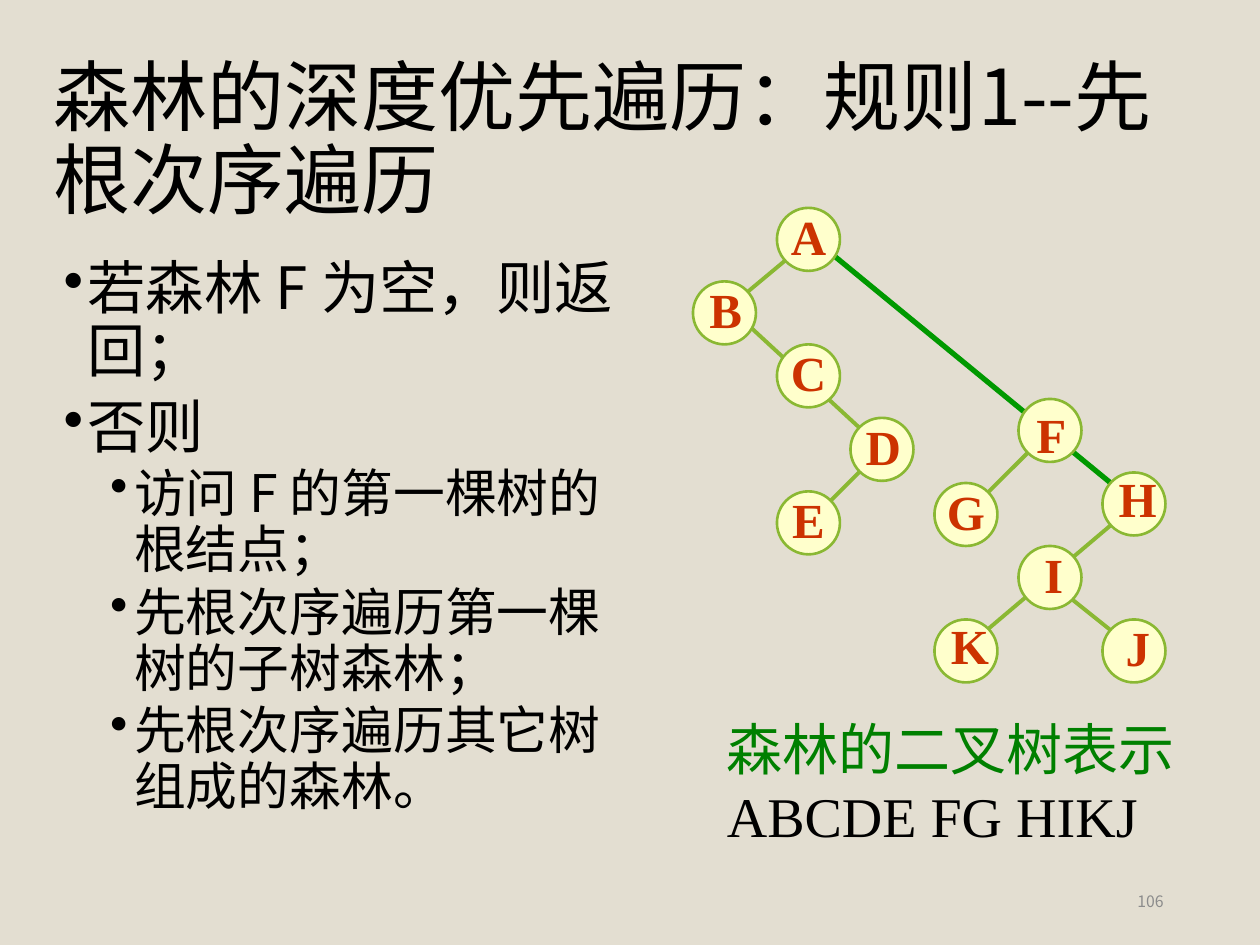
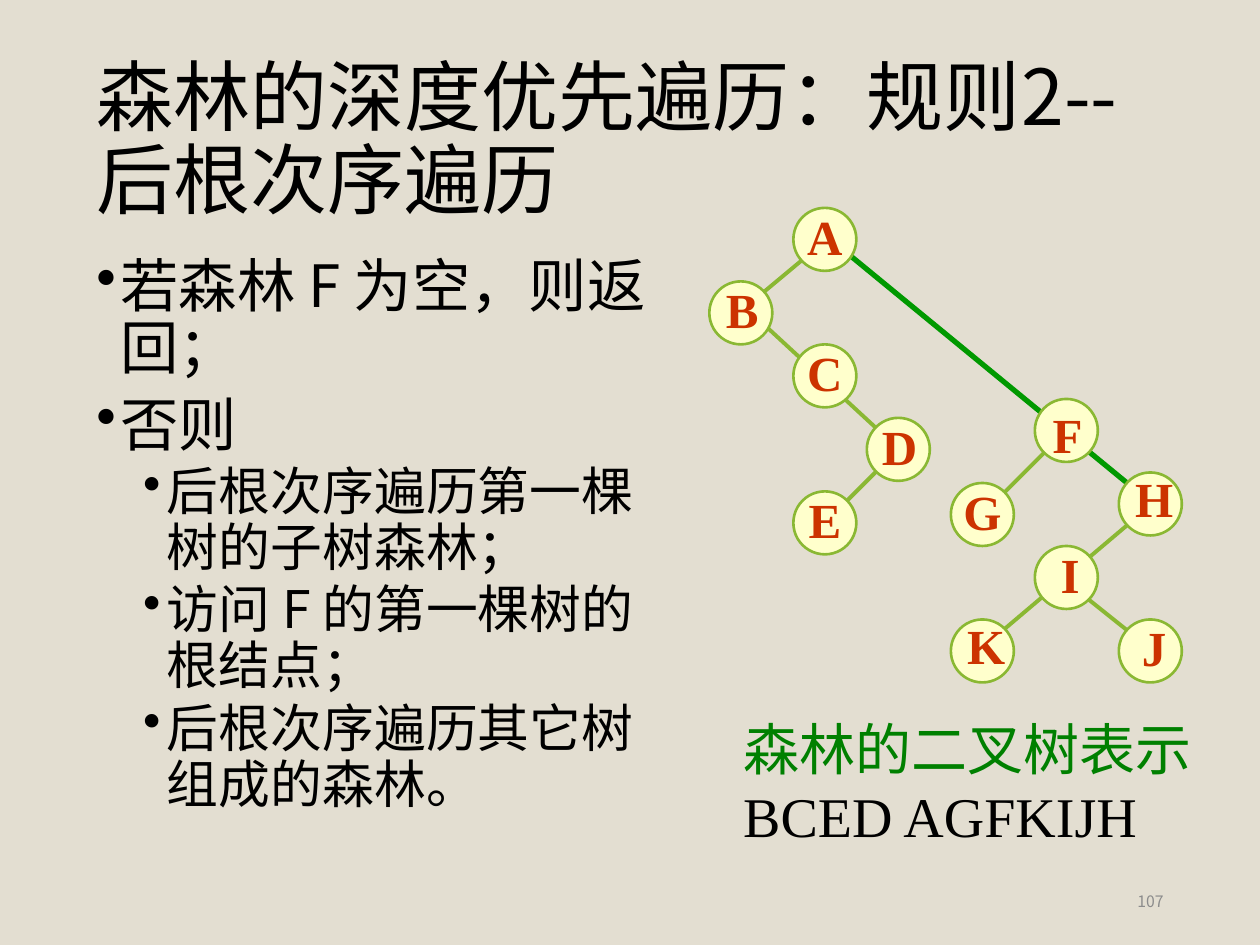
from pptx import Presentation
from pptx.dml.color import RGBColor
from pptx.enum.shapes import MSO_CONNECTOR, MSO_SHAPE
from pptx.enum.text import MSO_ANCHOR, PP_ALIGN
from pptx.oxml.ns import qn
from pptx.util import Inches, Pt
from lxml import etree

LINE = MSO_CONNECTOR.STRAIGHT
OVAL = MSO_SHAPE.OVAL
MID, TOP = MSO_ANCHOR.MIDDLE, MSO_ANCHOR.TOP
LEFT, MIDX, RIGHT = PP_ALIGN.LEFT, PP_ALIGN.CENTER, PP_ALIGN.RIGHT

SANS, SERIF = "Noto Sans CJK SC", "Times New Roman"
PAPER, INK, GRAY = "E3DED1", "000000", "8C8C8C"
LIME, GREEN, LEAF = "8AB833", "009900", "008000"
CREAM, RED = "FFFFCC", "CC3300"

UNIT = 1 / 12
TREE_TOP = 1.65
NODE = 0.5
THIN, THICK = 2.25, 3

# label: column, row, letter shift right, letter shift down
NODES = {
    "A": (8, 0, 0, -0.03), "B": (0, 7, 0.01, -0.03),
    "C": (8, 13, 0, -0.03), "D": (15, 20, 0.01, -0.03),
    "E": (8, 27, 0, -0.03), "F": (31, 18.2, 0.01, 0.03),
    "G": (23, 26.2, 0, -0.03), "H": (39, 25.2, 0.03, -0.05),
    "I": (31, 32.2, 0.03, -0.03), "K": (23, 39.2, 0.03, -0.05),
    "J": (39, 39.2, 0.03, -0.03),
}
EDGES = [
    (13, 4.2, 41, 27.2, GREEN, THICK),
    (17, 24, 12, 29, LIME, THIN),
    (4, 10, 17, 22, LIME, THIN),
    (10, 4, 4, 9, LIME, THIN),
    (36, 37.2, 41, 41.2, LIME, THIN),
    (41, 29.2, 28, 40.2, LIME, THIN),
    (33, 22.2, 27, 28.2, LIME, THIN),
]

EMPTY = "若森林 F 为空，则返回；"
ELSE = "否则"
VISIT = "访问 F 的第一棵树的根结点；"
PAGES = [
    dict(title="森林的深度优先遍历：规则1--先根次序遍历",
         head=(0.35, 9.37), body=(0.43, 2.02, 4.73), tree=5.5,
         steps=[VISIT, "先根次序遍历第一棵树的子树森林；",
                "先根次序遍历其它树组成的森林。"],
         order="ABCDE FG HIKJ", page="106"),
    dict(title="森林的深度优先遍历：规则2--后根次序遍历",
         head=(0.69, 8.62), body=(0.69, 2, 4.81), tree=5.63,
         steps=["后根次序遍历第一棵树的子树森林；", VISIT,
                "后根次序遍历其它树组成的森林。"],
         order="BCED AGFKIJH", page="107"),
]


def color(code):
    return RGBColor.from_string(code)


def add_box(slide, x, y, w, h, anchor=TOP, pad=0.075, wrap=True):
    shape = slide.shapes.add_textbox(*map(Inches, (x, y, w, h)))
    frame = shape.text_frame
    frame.word_wrap = wrap
    frame.vertical_anchor = anchor
    frame.margin_left = frame.margin_right = Inches(pad)
    frame.margin_top = frame.margin_bottom = Inches(pad / 2)
    return frame


def add_para(frame, text, size, hue=INK, face=SANS, align=LEFT,
             bold=False, lead=None, gap=0, indent=None):
    first = not frame.paragraphs[0].runs
    para = frame.paragraphs[0] if first else frame.add_paragraph()
    para.add_run().text = text
    para.alignment = align
    props = para._p.get_or_add_pPr()
    if indent:
        props.set("marL", str(Inches(indent)))
        props.set("indent", str(Inches(-0.19)))
        etree.SubElement(props, qn("a:buChar")).set("char", "•")
    if lead:
        para.line_spacing = lead
    para.space_before = Pt(0 if first else gap)
    font = para.font
    font.size, font.name, font.bold = Pt(size), face, bold
    font.color.rgb = color(hue)
    east = etree.SubElement(props.find(qn("a:defRPr")), qn("a:ea"))
    east.set("typeface", SANS)


def add_edge(slide, left, x1, y1, x2, y2, hue, width):
    ends = [Inches(base + n * UNIT) for base, n in
            ((left, x1), (TREE_TOP, y1), (left, x2), (TREE_TOP, y2))]
    edge = slide.shapes.add_connector(LINE, *ends)
    edge.line.color.rgb = color(hue)
    edge.line.width = Pt(width)
    etree.SubElement(edge._element.spPr, qn("a:effectLst"))


def add_node(slide, left, label, col, row, right, down):
    x, y = left + col * UNIT, TREE_TOP + row * UNIT
    disc = slide.shapes.add_shape(OVAL, *map(Inches, (x, y, NODE, NODE)))
    disc.shadow.inherit = False
    disc.fill.solid()
    disc.fill.fore_color.rgb = color(CREAM)
    disc.line.color.rgb = color(LIME)
    disc.line.width = Pt(1.5)
    tall = 0.57
    frame = add_box(slide, x + right, y + (NODE - tall) / 2 + down,
                    NODE, tall, MID, 0.1, False)
    add_para(frame, label, 28, RED, SERIF, MIDX, True)


def add_tree(slide, left, order):
    frame = add_box(slide, left + 0.17, 5.62, 3.79, 1.17, pad=0.1)
    add_para(frame, "森林的二叉树表示", 32, LEAF, SERIF)
    add_para(frame, order, 32, INK, SERIF)
    for edge in EDGES:
        add_edge(slide, left, *edge)
    for label, place in NODES.items():
        add_node(slide, left, label, *place)


def add_rules(slide, x, y, w, steps):
    frame = add_box(slide, x, y, w, 4.76)
    for text in (EMPTY, ELSE):
        add_para(frame, text, 33.3, lead=0.9, gap=7.5, indent=0.19)
    for text in steps:
        add_para(frame, text, 29.6, lead=0.9, gap=3.8, indent=0.56)


def add_page(deck, title, head, body, tree, steps, order, page):
    slide = deck.slides.add_slide(deck.slide_layouts[6])
    slide.background.fill.solid()
    slide.background.fill.fore_color.rgb = color(PAPER)
    add_tree(slide, tree, order)
    x, w = head
    add_para(add_box(slide, x, 0.4, w, 1.45, MID), title, 44, lead=0.9)
    add_rules(slide, *body, steps)
    add_para(add_box(slide, 7.06, 6.95, 2.25, 0.4, MID),
             page, 9, GRAY, align=RIGHT)


def main():
    deck = Presentation()
    deck.slide_width, deck.slide_height = Inches(10), Inches(7.5)
    for page in PAGES:
        add_page(deck, **page)
    deck.save("out.pptx")


if __name__ == "__main__":
    main()
